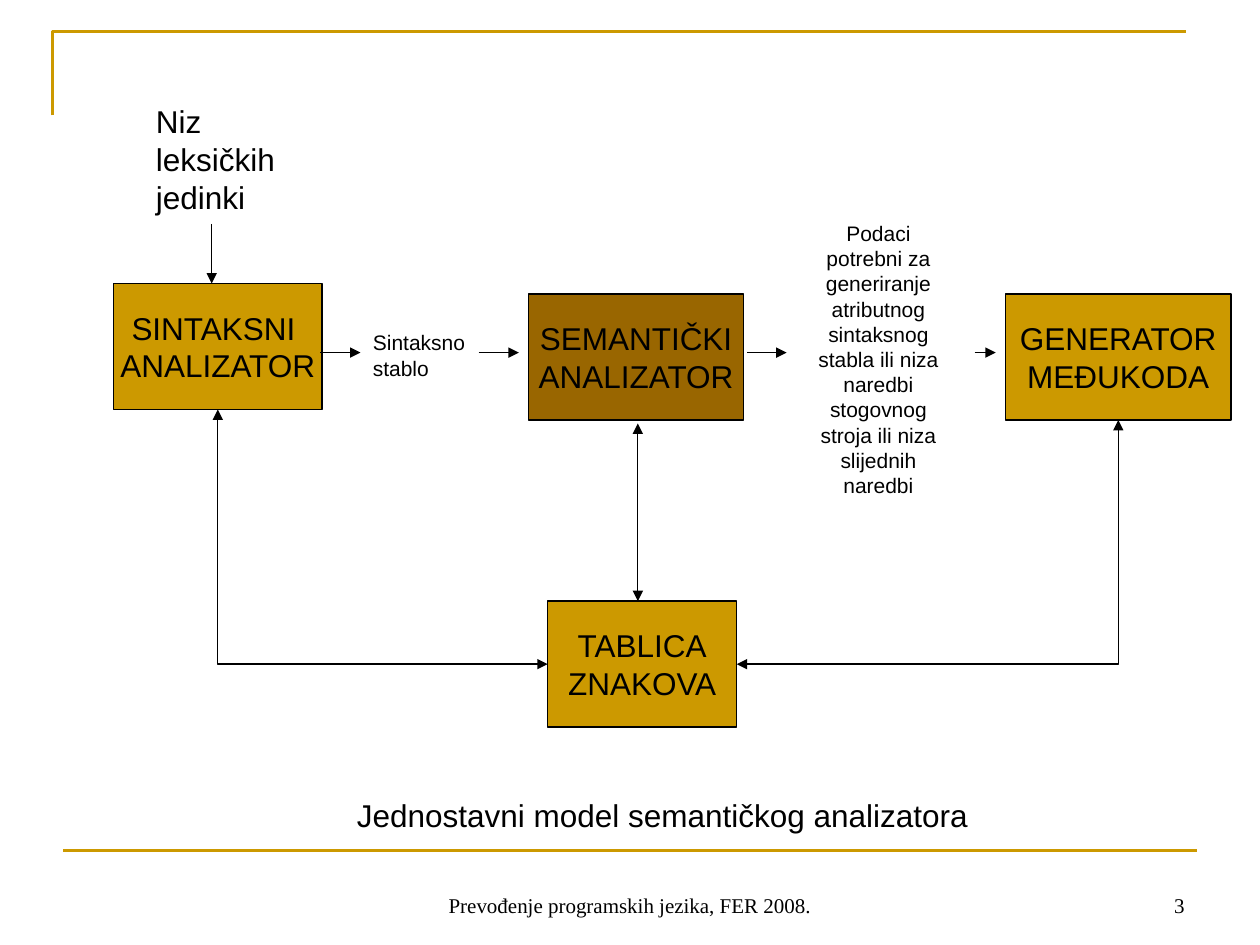
import pptx
import pptx.util
import pptx.dml.color
import pptx.enum.shapes
import pptx.enum.text
import pptx.oxml
import pptx.oxml.ns

Pt = pptx.util.Pt
RECT = pptx.enum.shapes.MSO_SHAPE.RECTANGLE
KIND = pptx.enum.shapes.MSO_CONNECTOR
ALIGN = pptx.enum.text.PP_ALIGN
ANCHOR = pptx.enum.text.MSO_ANCHOR
AUTO = pptx.enum.text.MSO_AUTO_SIZE
qn = pptx.oxml.ns.qn
COLORS = {"gold": "CC9900", "brown": "996600", "ink": "000000"}
BODY = {"name": "Arial", "size": Pt(18)}
SMALL = {"name": "Arial", "size": Pt(12)}
FOOT = {"name": "Times New Roman", "size": Pt(12)}
TOP, LEFT, BOTTOM, RIGHT = range(4)


def rgb(key):
    return pptx.dml.color.RGBColor.from_string(COLORS[key])


def set_line(sp, color, width):
    sp.line.color.rgb = rgb(color)
    sp.line.width = Pt(width)


def write(sp, lines, font, align, **frame):
    tf = sp.text_frame
    for key, value in frame.items():
        setattr(tf, key, value)
    for i, line in enumerate(lines):
        p = tf.add_paragraph() if i else tf.paragraphs[0]
        p.text = line
        p.alignment = align
        for key, value in font.items():
            setattr(p.font, key, value)
        p.font.color.rgb = rgb("ink")


def add_text(s, box, lines, font, align=ALIGN.LEFT, **frame):
    sp = s.shapes.add_textbox(*map(Pt, box))
    write(sp, lines, font, align, word_wrap=True, **frame)


def add_block(s, box, lines, fill):
    sp = s.shapes.add_shape(RECT, *map(Pt, box))
    sp.shadow.inherit = False
    sp.fill.solid()
    sp.fill.fore_color.rgb = rgb(fill)
    set_line(sp, "ink", 0.75)
    write(sp, lines, BODY, ALIGN.CENTER, word_wrap=False, vertical_anchor=ANCHOR.MIDDLE)
    return sp


def add_line(s, ends, color="ink", width=0.75, heads=(), kind=KIND.STRAIGHT):
    c = s.shapes.add_connector(kind, *map(Pt, ends))
    set_line(c, color, width)
    for tag in heads:
        ln = c.line._get_or_add_ln()
        ln.append(pptx.oxml.parse_xml(
            f'<a:{tag} {pptx.oxml.ns.nsdecls("a")} type="triangle"/>'))
    c._element.spPr.append(pptx.oxml.parse_xml(
        f'<a:effectLst {pptx.oxml.ns.nsdecls("a")}/>'))
    return c


def add_elbow(s, start, end, side):
    c = add_line(s, (0, 0, 1, 1), heads=("headEnd", "tailEnd"), kind=KIND.ELBOW)
    c.begin_connect(start, BOTTOM)
    c.end_connect(end, side)
    dx, dy = abs(c.end_x - c.begin_x), abs(c.end_y - c.begin_y)
    mid_x, mid_y = (c.begin_x + c.end_x) // 2, (c.begin_y + c.end_y) // 2
    spPr = c._element.spPr
    spPr.find(qn("a:prstGeom")).set("prst", "bentConnector2")
    xfrm = spPr.find(qn("a:xfrm"))
    xfrm.set("rot", "16200000" if side == LEFT else "5400000")
    xfrm.set("flipH", "1" if side == LEFT else "0")
    xfrm.set("flipV", "0")
    c.left, c.top = mid_x - dy // 2, mid_y - dx // 2
    c.width, c.height = dy, dx


def add_frame(s, x, y, w, h):
    fb = s.shapes.build_freeform(Pt(x), Pt(y + 48), scale=1.0)
    fb.add_line_segments([(Pt(x), Pt(y)), (Pt(x + w), Pt(y))], close=False)
    sp = fb.convert_to_shape()
    sp.shadow.inherit = False
    sp.fill.background()
    set_line(sp, "gold", 1.5)
    add_line(s, (x + 6, y + h, x + 6 + w, y + h), "gold", 1.5)


def add_model(s, x, y):
    def at(left, top, w, h):
        return x + left, y + top, w, h

    def arrow(x1, y1, x2, y2, heads=("tailEnd",)):
        add_line(s, (x + x1, y + y1, x + x2, y + y2), heads=heads)

    syntax = add_block(s, at(0, 107, 119, 72), ["SINTAKSNI ", "ANALIZATOR"], "gold")
    add_block(s, at(237, 113, 123, 72), ["SEMANTIČKI", "ANALIZATOR"], "brown")
    generator = add_block(s, at(509.5, 113, 129, 72), ["GENERATOR", "MEĐUKODA"], "gold")
    table = add_block(s, at(248, 288.5, 108, 72), ["TABLICA", "ZNAKOVA"], "gold")

    for x1, x2 in [(118, 141), (208.5, 231.5), (362, 384.5), (492, 504)]:
        arrow(x1, 146.5, x2, 146.5)
    arrow(56, 73, 56, 107)
    arrow(299.5, 187, 299.5, 288.5, ("headEnd", "tailEnd"))
    add_elbow(s, syntax, table, LEFT)
    add_elbow(s, generator, table, RIGHT)

    grow = {"auto_size": AUTO.SHAPE_TO_FIT_TEXT}
    add_text(s, at(17, 0, 88, 72), ["Niz", "leksičkih", "jedinki"], BODY, **grow)
    add_text(s, at(141, 130, 68, 36), ["Sintaksno\vstablo"], SMALL, **grow)
    add_text(s, at(391.5, 67.5, 91, 166),
             ["Podaci potrebni za generiranje atributnog sintaksnog stabla ili niza "
              "naredbi stogovnog stroja ili niza slijednih naredbi"],
             SMALL, ALIGN.CENTER, **grow)
    add_text(s, at(50, 396.5, 527, 29), ["Jednostavni model semantičkog analizatora"],
             BODY, ALIGN.CENTER, **grow)


def add_footer(s, x, y, w, h):
    low = {"vertical_anchor": ANCHOR.BOTTOM}
    add_text(s, (x, y, 228, h), ["Prevođenje programskih jezika, FER 2008."],
             FOOT, ALIGN.CENTER, **low)
    add_text(s, (x + w - 168, y, 168, h), ["3"], FOOT, ALIGN.RIGHT, **low)


def main():
    prs = pptx.Presentation()
    prs.slide_width, prs.slide_height = Pt(720), Pt(540)
    s = prs.slides.add_slide(prs.slide_layouts[6])
    add_frame(s, 30, 18, 648, 468)
    add_model(s, 65, 55)
    add_footer(s, 246, 492, 438, 36)
    prs.save("out.pptx")


if __name__ == "__main__":
    main()
